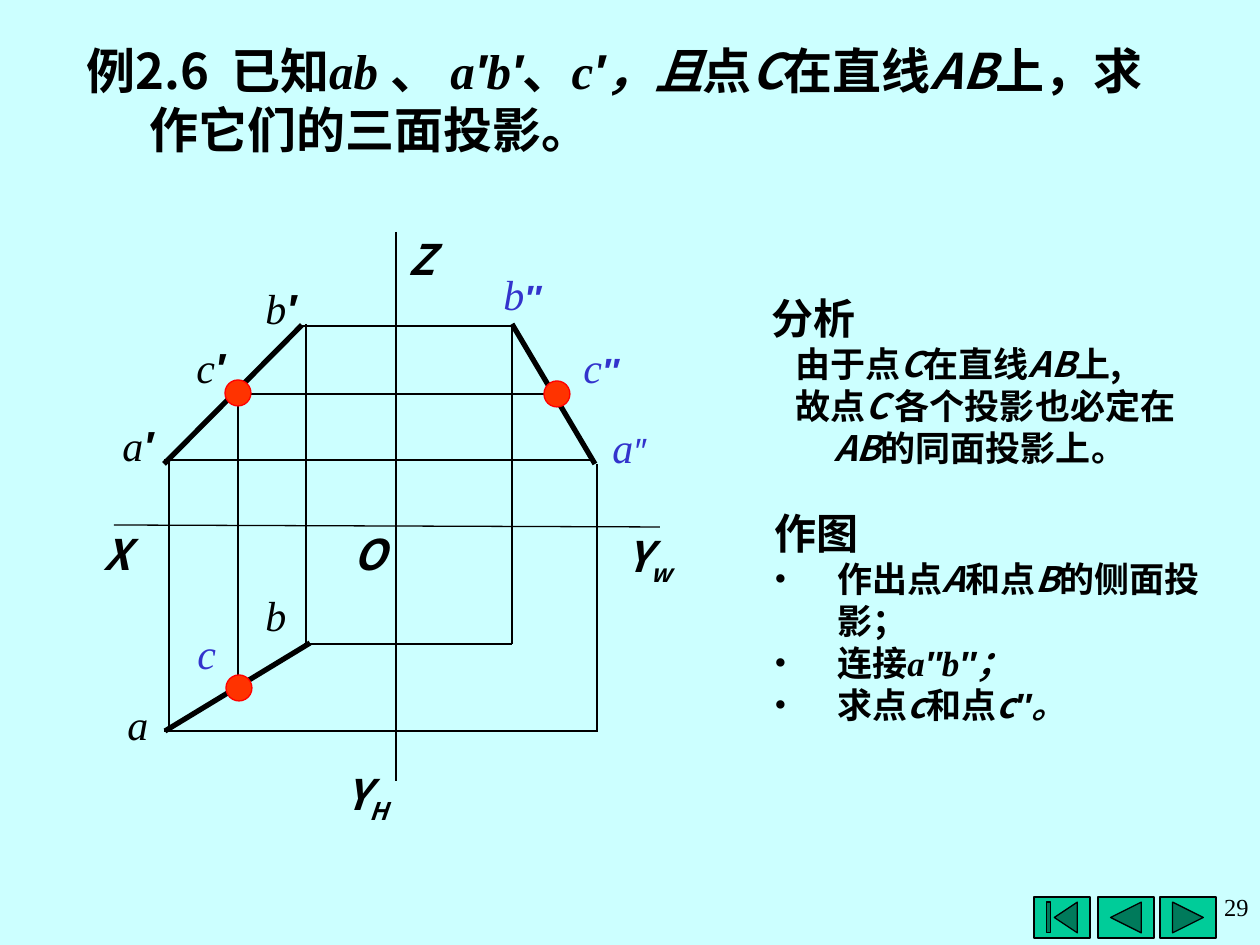
from lxml.etree import SubElement
from pptx import Presentation
from pptx.dml.color import RGBColor
from pptx.enum.lang import MSO_LANGUAGE_ID as Language
from pptx.enum.shapes import MSO_CONNECTOR as Connector, MSO_SHAPE as Shape
from pptx.enum.text import MSO_ANCHOR as Anchor, MSO_AUTO_SIZE as AutoSize, PP_ALIGN as Align
from pptx.oxml.ns import qn
from pptx.util import Pt

PX = 914400 / 126
COLORS = {
    "background": "CCFFFF", "ink": "000000", "answer": "3333CC",
    "dot": "FF3300", "dot_edge": "FF0000", "button": "00CC99",
}
CJK, SERIF, SANS = "Noto Sans CJK SC", "Times New Roman", "Arial"

BOLD = dict(font=CJK, bold=True)
ITALIC = dict(BOLD, italic=True)
SERIF_BOLD = dict(BOLD, font=SERIF)
SERIF_ITALIC = dict(ITALIC, font=SERIF)
PRIME = dict(ITALIC, font=SANS)


def px(*lengths):
    return [round(length * PX) for length in lengths]


def rgb(name):
    return RGBColor.from_string(COLORS[name])


def add_text(paragraph, text, font=CJK, size=20, bold=False, italic=False,
             color="ink", baseline=0):
    run = paragraph.add_run()
    run.text = text
    run.font.name = font
    run.font.size = Pt(size)
    run.font.bold = bold
    run.font.italic = italic
    run.font.color.rgb = rgb(color)
    run.font.language_id = Language.SIMPLIFIED_CHINESE
    properties = run._r.get_or_add_rPr()
    SubElement(properties, qn("a:ea"), typeface=CJK)
    if baseline:
        properties.set("baseline", str(baseline * 1000))


def add_runs(paragraph, runs, **defaults):
    for text, style in runs:
        add_text(paragraph, text, **{**defaults, **style})


def set_indent(paragraph, left, first, bullet=None):
    properties = paragraph._p.get_or_add_pPr()
    left, first = px(left, first)
    properties.set("marL", str(left))
    properties.set("indent", str(first))
    if bullet:
        SubElement(properties, qn("a:buFont"), typeface=SERIF)
        SubElement(properties, qn("a:buChar"), char=bullet)


def add_box(slide, left, top, width, height):
    frame = slide.shapes.add_textbox(*px(left, top, width, height)).text_frame
    frame.word_wrap = True
    return frame


def add_line(slide, x1, y1, x2, y2, weight=0.75):
    line = slide.shapes.add_connector(Connector.STRAIGHT, *px(x1, y1, x2, y2))
    line.line.color.rgb = rgb("ink")
    line.line.width = Pt(weight)
    SubElement(line._element.spPr, qn("a:effectLst"))


def add_filled(slide, kind, box, fill, edge):
    shape = slide.shapes.add_shape(kind, *px(*box))
    shape.shadow.inherit = False
    shape.fill.solid()
    shape.fill.fore_color.rgb = rgb(fill)
    shape.line.color.rgb = rgb(edge)
    shape.line.width = Pt(0.75)


def add_title(slide, left, top, width, height):
    title = slide.shapes.title
    title.left, title.top, title.width, title.height = px(left, top, width, height)
    frame = title.text_frame
    frame.word_wrap = True
    frame.auto_size = AutoSize.NONE
    frame.vertical_anchor = Anchor.MIDDLE
    paragraph = frame.paragraphs[0]
    paragraph.alignment = Align.LEFT
    set_indent(paragraph, 63, -63)
    add_runs(paragraph, [
        ("例2.6  ", BOLD), ("已知", SERIF_BOLD), ("ab ", SERIF_ITALIC),
        ("、 ", SERIF_BOLD), ("a", SERIF_ITALIC), ("′", PRIME),
        ("b", SERIF_ITALIC), ("′", PRIME), ("、", SERIF_BOLD),
        ("c", SERIF_ITALIC), ("′", PRIME), ("，且", ITALIC),
        ("点", SERIF_BOLD), ("C", ITALIC), ("在直线", SERIF_BOLD),
        ("AB", ITALIC), ("上，求作它们的三面投影。", SERIF_BOLD),
    ], size=28)


def add_projection(slide, left, top):
    """Three-view drawing of segment AB with point C on it."""
    rows = [(101, 211, 422), (169, 143, 471), (235, 74, 505),
            (419, 214, 422), (506, 74, 508)]
    columns = [(79, 237, 507), (148, 172, 467), (216, 99, 418),
               (422, 100, 419), (507, 239, 507)]
    axes = [(24, 300, 570, 302), (306, 7, 306, 556)]
    segments = [(74, 239, 212, 100), (75, 506, 220, 418), (505, 239, 422, 99)]
    thin = axes + [(x1, y, x2, y) for y, x1, x2 in rows]
    thin += [(x, y1, x, y2) for x, y1, y2 in columns]
    for lines, weight in ((thin, 0.75), (segments, 3)):
        for x1, y1, x2, y2 in lines:
            add_line(slide, left + x1, top + y1, left + x2, top + y2, weight)

    radius = 13
    for x, y in [(148, 168), (467, 169), (149, 463)]:
        box = (left + x - radius, top + y - radius, 2 * radius, 2 * radius)
        add_filled(slide, Shape.OVAL, box, "dot", "dot_edge")

    letter = dict(font=SERIF, italic=True)
    answer = dict(letter, color="answer")
    double_prime = dict(PRIME, size=20, color="answer")
    subscript = dict(ITALIC, baseline=-25)
    labels = [
        (306, 2, [("Z", ITALIC)]),
        (1, 297, [("X", ITALIC)]),
        (251, 297, [("O", ITALIC)]),
        (524, 299, [("Y", ITALIC), ("w", subscript)]),
        (243, 537, [("Y", ITALIC), ("H", subscript)]),
        (20, 188, [("a", letter), ("′", PRIME)]),
        (163, 51, [("b", letter), ("′", PRIME)]),
        (94, 110, [("c", letter), ("′", PRIME)]),
        (510, 190, [("a", answer), ("″", dict(double_prime, bold=False))]),
        (401, 37, [("b", answer), ("″", double_prime)]),
        (481, 110, [("c", answer), ("″", double_prime)]),
        (25, 467, [("a", letter)]),
        (163, 358, [("b", letter)]),
        (95, 396, [("c", answer)]),
    ]
    for x, y, runs in labels:
        frame = add_box(slide, left + x, top + y, 89, 63)
        add_runs(frame.paragraphs[0], runs, size=24)


def add_section(slide, box, heading, paragraphs, first, bullet=None):
    frame = add_box(slide, *box)
    add_text(frame.paragraphs[0], heading, size=24, bold=True)
    for runs in paragraphs:
        paragraph = frame.add_paragraph()
        set_indent(paragraph, 63, first, bullet)
        add_runs(paragraph, runs)


def add_navigation(slide, left, top):
    buttons = [(0, Shape.ACTION_BUTTON_BEGINNING),
               (64, Shape.ACTION_BUTTON_BACK_OR_PREVIOUS),
               (126, Shape.ACTION_BUTTON_FORWARD_OR_NEXT)]
    for x, kind in buttons:
        add_filled(slide, kind, (left + x, top, 56, 41), "button", "ink")
    paragraph = add_box(slide, left + 126, top - 11, 101, 52).paragraphs[0]
    paragraph.alignment = Align.RIGHT
    add_text(paragraph, "29", font=SERIF, size=14)


def main():
    presentation = Presentation()
    presentation.slide_width, presentation.slide_height = px(1260, 945)
    slide = presentation.slides.add_slide(presentation.slide_layouts[5])
    slide.background.fill.solid()
    slide.background.fill.fore_color.rgb = rgb("background")

    add_title(slide, 74, 34, 1122, 131)
    add_projection(slide, 90, 225)
    add_section(slide, (759, 286, 466, 189), "分析", [
        [("由于点", BOLD), ("C", ITALIC), ("在直线", BOLD), ("AB", ITALIC),
         ("上,", BOLD)],
        [("故点", BOLD), ("C", ITALIC), (" ", dict(ITALIC, size=16)),
         ("各个投影也必定在", BOLD), ("AB", ITALIC), ("的同面投影上。", BOLD)],
    ], first=-39)
    add_section(slide, (762, 501, 466, 232), "作图", [
        [("作出点", BOLD), ("A", ITALIC), ("和点", BOLD), ("B", ITALIC),
         ("的侧面投影；", BOLD)],
        [("连接", BOLD), ("a", SERIF_ITALIC), ("″", PRIME),
         ("b", SERIF_ITALIC), ("″", PRIME), ("；", ITALIC)],
        [("求点", BOLD), ("c", ITALIC), ("和点", BOLD), ("c", ITALIC),
         ("″", PRIME), ("。", ITALIC)],
    ], first=-63, bullet="•")
    add_navigation(slide, 1034, 897)
    presentation.save("out.pptx")


if __name__ == "__main__":
    main()
